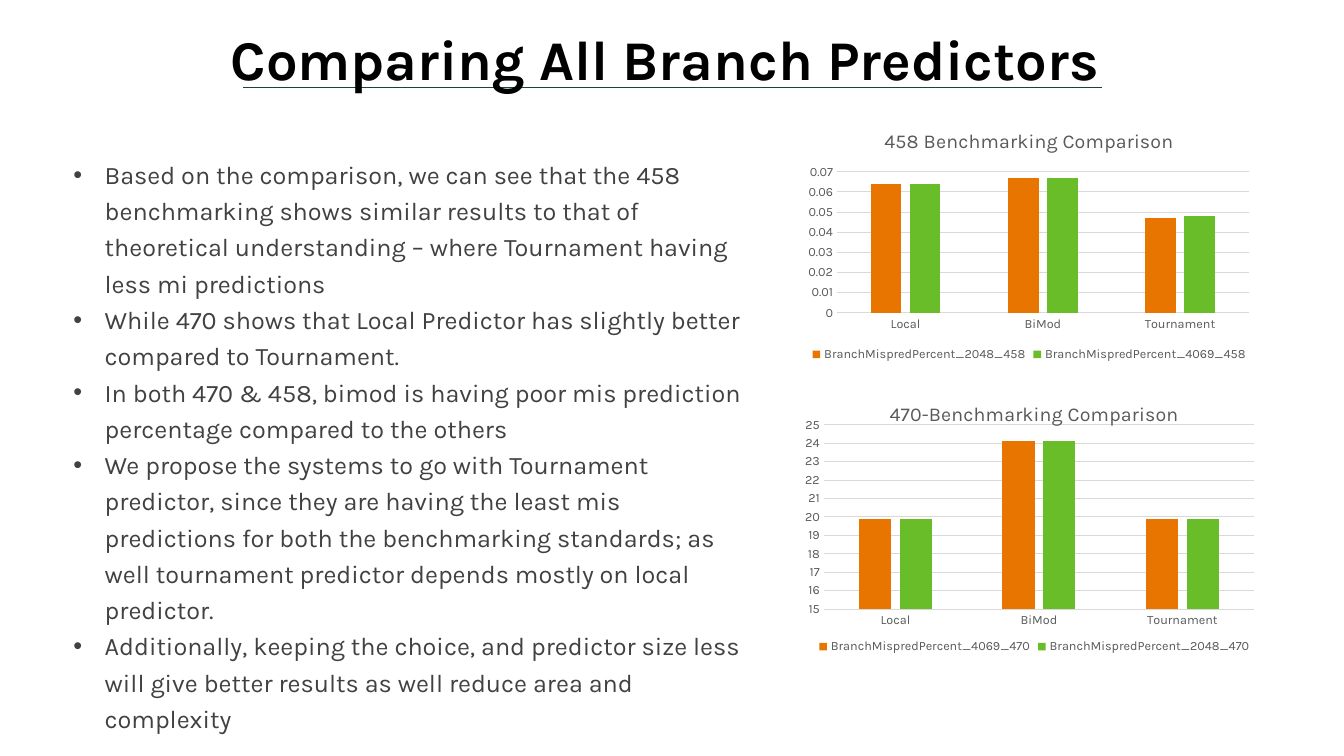
from lxml.etree import SubElement
from pptx import Presentation
from pptx.chart.data import CategoryChartData
from pptx.dml.color import RGBColor
from pptx.enum.chart import XL_CHART_TYPE, XL_LEGEND_POSITION, XL_TICK_MARK
from pptx.enum.shapes import MSO_CONNECTOR
from pptx.enum.text import MSO_ANCHOR, PP_ALIGN
from pptx.oxml.ns import qn
from pptx.util import Cm, Pt

FONT = "Karla"
BLACK = RGBColor(0x00, 0x00, 0x00)
BODY_GRAY = RGBColor(0x41, 0x41, 0x41)
CHART_GRAY = RGBColor(0x59, 0x59, 0x59)
GRID_GRAY = RGBColor(0xD9, 0xD9, 0xD9)
GREEN_RULE = RGBColor(0x15, 0x47, 0x34)
ORANGE = RGBColor(0xE8, 0x75, 0x00)
GREEN = RGBColor(0x69, 0xBD, 0x28)

PREDICTORS = ["Local", "BiMod", "Tournament"]
FINDINGS = [
    "Based on the comparison, we can see that the 458 benchmarking shows similar results "
    "to that of theoretical understanding – where Tournament having less mi predictions",
    "While 470 shows that Local Predictor has slightly better compared to Tournament.",
    "In both 470 & 458, bimod is having poor mis prediction percentage compared to the others",
    "We propose the systems to go with Tournament predictor, since they are having the least "
    "mis predictions for both the benchmarking standards; as well tournament predictor "
    "depends mostly on local predictor.",
    "Additionally, keeping the choice, and predictor size less will give better results "
    "as well reduce area and complexity",
]


class SlideBuilder:
    """Holds the style and the current slide, and draws each kind of element."""

    def __init__(self, page):
        self.page = page

    def style_font(self, font, size, color, bold=False):
        font.name = FONT
        font.size = Pt(size)
        font.color.rgb = color
        font.bold = bold

    def add_frame(self, left, top, width, height, anchor=MSO_ANCHOR.TOP):
        box = self.page.shapes.add_textbox(Cm(left), Cm(top), Cm(width), Cm(height))
        frame = box.text_frame
        frame.word_wrap = True
        frame.vertical_anchor = anchor
        frame.margin_left = frame.margin_top = frame.margin_right = frame.margin_bottom = 0
        return frame

    def add_title(self, text, *place):
        para = self.add_frame(*place, anchor=MSO_ANCHOR.MIDDLE).paragraphs[0]
        para.text = text
        para.alignment = PP_ALIGN.CENTER
        para.line_spacing = 0.85
        self.style_font(para.font, 40, BLACK, bold=True)

    def add_bullets(self, items, *place):
        frame = self.add_frame(*place)
        for index, item in enumerate(items):
            para = frame.add_paragraph() if index else frame.paragraphs[0]
            para.text = item
            para.line_spacing = 1.2
            properties = para._p.get_or_add_pPr()
            properties.set("marL", str(Cm(0.79)))
            properties.set("indent", str(-Cm(0.79)))
            SubElement(properties, qn("a:buFont")).set("typeface", "Arial")
            SubElement(properties, qn("a:buChar")).set("char", "•")
            self.style_font(para.font, 18, BODY_GRAY)

    def add_rule(self, left, right, top):
        rule = self.page.shapes.add_connector(
            MSO_CONNECTOR.STRAIGHT, Cm(left), Cm(top), Cm(right), Cm(top))
        rule.line.color.rgb = GREEN_RULE
        rule.line.width = Pt(0.75)
        SubElement(rule._element.spPr, qn("a:effectLst"))

    def style_line(self, line):
        line.color.rgb = GRID_GRAY
        line.width = Pt(0.75)

    def set_plot_area(self, chart, fractions):
        area = chart._chartSpace.chart.plotArea
        layout = area.find(qn("c:layout"))
        if layout is None:
            layout = SubElement(area, qn("c:layout"))
            area.insert(0, layout)
        manual = SubElement(layout, qn("c:manualLayout"))
        values = ["inner", "edge", "edge", *fractions]
        for name, value in zip(["layoutTarget", "xMode", "yMode", "x", "y", "w", "h"], values):
            SubElement(manual, qn(f"c:{name}")).set("val", str(value))

    def add_columns(self, title, series, scale, plot_area, left, top, width, height):
        data = CategoryChartData()
        data.categories = PREDICTORS
        for name, values in series.items():
            data.add_series(name, values)
        chart = self.page.shapes.add_chart(
            XL_CHART_TYPE.COLUMN_CLUSTERED,
            Cm(left), Cm(top), Cm(width), Cm(height), data).chart
        self.style_font(chart.font, 10, BLACK)

        chart.has_title = True
        heading = chart.chart_title.text_frame.paragraphs[0]
        heading.text = title
        self.style_font(heading.font, 14, CHART_GRAY)
        chart.chart_title.include_in_layout = False

        chart.has_legend = True
        chart.legend.position = XL_LEGEND_POSITION.BOTTOM
        chart.legend.include_in_layout = False
        self.style_font(chart.legend.font, 9, CHART_GRAY)

        for axis in (chart.category_axis, chart.value_axis):
            axis.major_tick_mark = axis.minor_tick_mark = XL_TICK_MARK.NONE
            self.style_font(axis.tick_labels.font, 9, CHART_GRAY)
        self.style_line(chart.category_axis.format.line)
        value_axis = chart.value_axis
        value_axis.format.line.fill.background()
        self.style_line(value_axis.major_gridlines.format.line)
        value_axis.minimum_scale, value_axis.maximum_scale, value_axis.major_unit = scale

        plot = chart.plots[0]
        plot.vary_by_categories = False
        plot.gap_width = 219
        plot.overlap = -27
        for bars, color in zip(plot.series, (ORANGE, GREEN)):
            bars.format.fill.solid()
            bars.format.fill.fore_color.rgb = color
        self.set_plot_area(chart, plot_area)


def main():
    deck = Presentation()
    deck.slide_width, deck.slide_height = Cm(33.87), Cm(19.05)
    builder = SlideBuilder(deck.slides.add_slide(deck.slide_layouts[6]))
    builder.add_rule(6.12, 27.76, 2.21)
    builder.add_title("Comparing All Branch Predictors ", 2.54, 0.74, 28.78, 1.73)
    builder.add_columns(
        "470-Benchmarking Comparison",
        {"BranchMispredPercent_4069_470": [19.9, 24.1, 19.9],
         "BranchMispredPercent_2048_470": [19.9, 24.1, 19.9]},
        (15, 25, 1), (0.05, 0.14, 0.92, 0.68), 20.17, 9.75, 11.79, 6.83)
    builder.add_columns(
        "458 Benchmarking Comparison",
        {"BranchMispredPercent_2048_458": [0.064, 0.067, 0.047],
         "BranchMispredPercent_4069_458": [0.064, 0.067, 0.048]},
        (0, 0.07, 0.01), (0.08, 0.23, 0.9, 0.56), 20.17, 2.87, 11.53, 6.35)
    builder.add_bullets(FINDINGS, 1.85, 3.86, 17.2, 13.77)
    deck.save("out.pptx")


if __name__ == "__main__":
    main()
